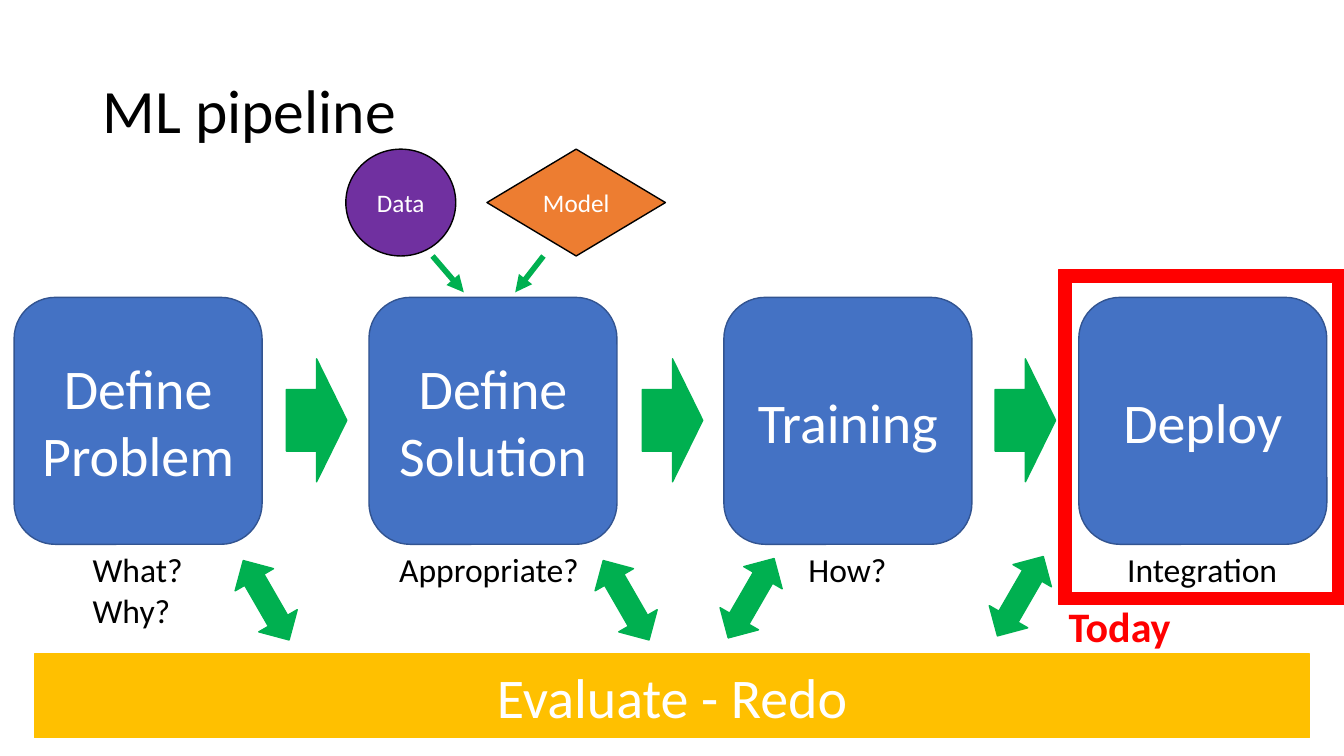
from lxml import etree
from pptx import Presentation, util as u
from pptx.dml.color import RGBColor
from pptx.enum import shapes, text
from pptx.oxml.ns import qn

SHAPE = shapes.MSO_SHAPE
GREEN, RED, GOLD, BLUE = "00B050", "FF0000", "FFC000", "4472C4"
BLACK, WHITE = "000000", "FFFFFF"


def color(hex_string):
    return RGBColor.from_string(hex_string)


def inches(*lengths):
    return [u.Inches(length) for length in lengths]


def write(shape, content, size, font_color, bold=False, align=None,
          anchor=text.MSO_ANCHOR.TOP, wrap=True, spacing=None):
    """Fill a shape with text, one paragraph per line."""
    frame = shape.text_frame
    frame.word_wrap = wrap
    frame.vertical_anchor = anchor
    if not wrap:
        frame.auto_size = text.MSO_AUTO_SIZE.SHAPE_TO_FIT_TEXT
    frame.text = content
    for paragraph in frame.paragraphs:
        paragraph.alignment = align
        paragraph.line_spacing = spacing
        font = paragraph.font
        font.name, font.size, font.bold = "Calibri", u.Pt(size), bold
        font.color.rgb = color(font_color)


def add_label(slide, box, content, size, font_color=BLACK, **text_format):
    write(slide.shapes.add_textbox(*inches(*box)), content, size, font_color,
          **text_format)


def add_block(slide, kind, box, fill, line=None, content=None, size=40,
              rotation=0):
    shape = slide.shapes.add_shape(kind, *inches(*box))
    shape.shadow.inherit = False
    shape.rotation = rotation
    shape.fill.solid()
    shape.fill.fore_color.rgb = color(fill)
    shape.line.color.rgb = color(line or fill)
    shape.line.width = u.Pt(1)
    if content:
        write(shape, content, size, WHITE, align=text.PP_ALIGN.CENTER,
              anchor=text.MSO_ANCHOR.MIDDLE)
    return shape


def add_arrow(slide, start, end):
    arrow = slide.shapes.add_connector(shapes.MSO_CONNECTOR.STRAIGHT,
                                       *inches(*start, *end))
    arrow.line.color.rgb = color(GREEN)
    arrow.line.width = u.Pt(4)
    etree.SubElement(arrow.line._get_or_add_ln(), qn("a:tailEnd"), type="triangle")
    etree.SubElement(arrow._element.spPr, qn("a:effectLst"))


def add_stages(slide, left, top, width, height, pitch):
    """Row of stages, each with its question below, joined by block arrows."""
    stages = [
        ("Define Problem", "What?\nWhy?", 0.68, 1.11, 0.91),
        ("Define Solution", "Appropriate?", 0.2, 2.08, 0.5),
        ("Training", "How?", 0.74, 0.98, 0.5),
        ("Deploy", "Integration", 0.38, 1.71, 0.5),
    ]
    for index, (name, question, indent, label_width, label_height) in enumerate(stages):
        x = left + index * pitch
        add_block(slide, SHAPE.ROUNDED_RECTANGLE, (x, top, width, height),
                  BLUE, "325491", name)
        add_label(slide, (x + indent, top + height, label_width, label_height),
                  question, 24, wrap=False)
    for offset in (2.7, 6.23, 9.73):
        add_block(slide, SHAPE.RIGHT_ARROW,
                  (left + offset, top + 0.61, 0.6, 1.22), GREEN)


def add_inputs(slide, left, top, height):
    """Data and model, with arrows down to the solution stage."""
    add_block(slide, SHAPE.OVAL, (left, top, 1.09, height), "7030A0", BLACK,
              "Data", 18)
    add_block(slide, SHAPE.DIAMOND, (left + 1.4, top, 1.77, height), "ED7D31",
              BLACK, "Model", 18)
    bottom = top + height
    for start, end in ((0.86, 1.17), (1.96, 1.68)):
        add_arrow(slide, (left + start, bottom), (left + end, bottom + 0.36))


def add_today_marker(slide, left, top, width, height):
    marker = add_block(slide, SHAPE.FRAME, (left, top, width, height), RED)
    marker.adjustments[0] = 0.043
    add_label(slide, (left, top + height - 0.09, 1.23, 0.61), "Today", 30, RED,
              bold=True, wrap=False)


def add_evaluation(slide, left, top, width, height):
    """Bar under the stages, with two-way arrows up to them."""
    add_block(slide, SHAPE.RECTANGLE, (left, top, width, height), GOLD,
              content="Evaluate - Redo")
    for offset, rise, rotation in ((2.08, 0.99, 330), (5.65, 0.99, 330),
                                   (6.89, 1.01, 30), (9.56, 1.03, 30)):
        add_block(slide, SHAPE.UP_DOWN_ARROW,
                  (left + offset, top - rise, 0.44, 0.91), GREEN,
                  rotation=rotation)


def main():
    presentation = Presentation()
    presentation.slide_width, presentation.slide_height = inches(13.33, 7.5)
    slide = presentation.slides.add_slide(presentation.slide_layouts[6])
    add_label(slide, (0.92, 0.4, 11.5, 1.45), "ML pipeline", 44,
              anchor=text.MSO_ANCHOR.MIDDLE, spacing=0.9)
    add_stages(slide, 0.14, 2.95, 2.46, 2.45, pitch=3.52)
    add_inputs(slide, 3.43, 1.48, 1.06)
    add_today_marker(slide, 10.5, 2.68, 2.84, 3.32)
    add_evaluation(slide, 0.34, 6.49, 12.65, 0.83)
    presentation.save("out.pptx")


if __name__ == "__main__":
    main()
